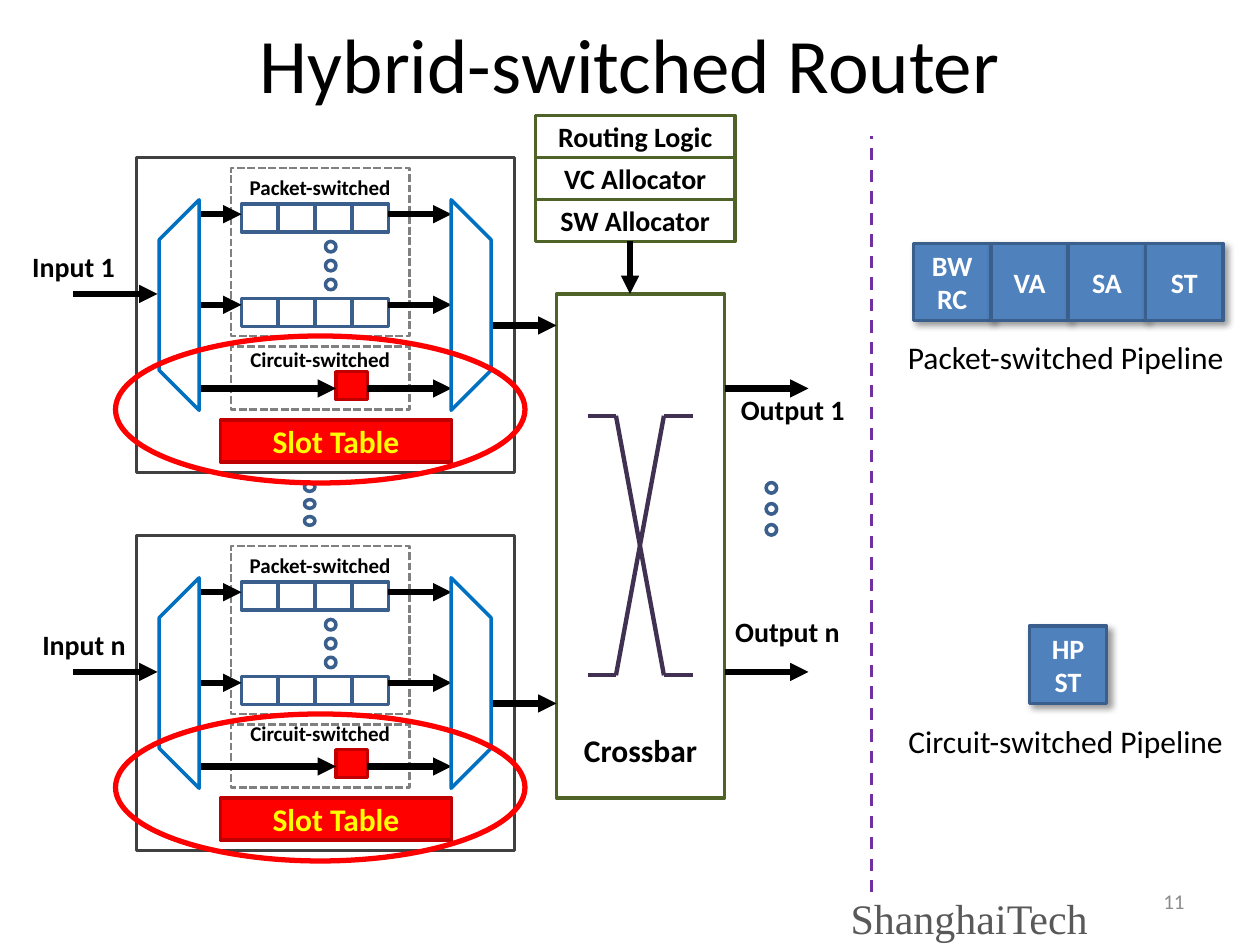
from lxml import etree
from pptx import Presentation
from pptx import util as u
from pptx.dml.color import RGBColor
from pptx.enum import dml, shapes, text
from pptx.oxml import ns

Pt = u.Pt
BOX, OVAL = shapes.MSO_SHAPE.RECTANGLE, shapes.MSO_SHAPE.OVAL
STRIPE = shapes.MSO_SHAPE.DIAGONAL_STRIPE
CENTER, RIGHT, LEFT = text.PP_ALIGN.CENTER, text.PP_ALIGN.RIGHT, text.PP_ALIGN.LEFT
TOP, MIDDLE = text.MSO_ANCHOR.TOP, text.MSO_ANCHOR.MIDDLE
DASH, SHORT_DASH = dml.MSO_LINE.DASH, dml.MSO_LINE.SQUARE_DOT

WHITE, BLACK, BLUE, GREEN = "FFFFFF", "000000", "3A5F8C", "4F6228"
RED, DARK_RED, PURPLE = "FF0000", "C00000", "403152"

# Content: places are (left, top, width, height)
INPUTS = [
    {"label": "Input 1", "place": (0, 139, 84, 26.6), "offset": 0, "circuit_top": 194.4},
    {"label": "Input n", "place": (12, 355, 72, 26.6), "offset": 216, "circuit_top": 408.2},
]
CONTROL = ["Routing Logic", "VC Allocator", "SW Allocator"]
OUTPUTS = [
    ("Output 1", (408, 221, 90, 26.6), 222),
    ("Output n", (408, 347.8, 84, 26.6), 384),
]
PIPELINES = [
    ("Packet-switched Pipeline", ["BW\nRC", "VA", "SA", "ST"], 522, 139, 189.4),
    ("Circuit-switched Pipeline", ["HP\nST"], 588.2, 357.8, 409),
]
STAGE = 44.2
CROSS_X, CROSS_Y = (336, 352, 379.4, 396), (237.6, 385.9)

presentation = Presentation()
presentation.slide_width, presentation.slide_height = Pt(720), Pt(540)
slide = presentation.slides.add_slide(presentation.slide_layouts[6])


def color(value):
    return RGBColor.from_string(value)


def set_line(item, line_color, width, dash=None):
    item.line.color.rgb = color(line_color)
    item.line.width = Pt(width)
    if dash:
        item.line.dash_style = dash


def write(shape, words, size, font_color=BLACK, bold=False, name="Calibri",
          align=CENTER, anchor=TOP, inset=None):
    frame = shape.text_frame
    settings = {"word_wrap": True, "vertical_anchor": anchor}
    if inset is not None:
        sides = ("left", "top", "right", "bottom")
        settings.update({f"margin_{side}": Pt(inset) for side in sides})
    for key, value in settings.items():
        setattr(frame, key, value)
    frame.text = words
    for paragraph in frame.paragraphs:
        paragraph.alignment = align
        for key, value in {"size": Pt(size), "bold": bold, "name": name}.items():
            setattr(paragraph.font, key, value)
        paragraph.font.color.rgb = color(font_color)


def add_text(words, place, size, **style):
    write(slide.shapes.add_textbox(*map(Pt, place)), words, size, **style)


def add_shape(kind, place, line_color, width=2, fill=None, dash=None):
    shape = slide.shapes.add_shape(kind, *map(Pt, place))
    shape.shadow.inherit = False
    if fill:
        shape.fill.solid()
        shape.fill.fore_color.rgb = color(fill)
    else:
        shape.fill.background()
    set_line(shape, line_color, width, dash)
    return shape


def add_line(x1, y1, x2, y2, line_color, width, dash=None):
    line = slide.shapes.add_connector(
        shapes.MSO_CONNECTOR.STRAIGHT, *map(Pt, (x1, y1, x2, y2)))
    set_line(line, line_color, width, dash)
    etree.SubElement(line.element.spPr, ns.qn("a:effectLst"))
    return line


def add_arrow(x1, y1, x2, y2):
    line = add_line(x1, y1, x2, y2, BLACK, 3.5)
    etree.SubElement(line.line._get_or_add_ln(), ns.qn("a:tailEnd"), type="triangle")


def add_dots(left, top, step, height=6):
    """Draw three small rings as a vertical ellipsis."""
    for i in range(3):
        add_shape(OVAL, (left, top + i * step, 6, height), BLUE)


def add_drop_shadow(shape):
    effects = shape.element.spPr.find(ns.qn("a:effectLst"))
    shadow = etree.SubElement(
        effects, ns.qn("a:outerShdw"), blurRad=str(Pt(4)), dist=str(Pt(3)),
        dir="2700000", algn="tl", rotWithShape="0")
    tint = etree.SubElement(shadow, ns.qn("a:srgbClr"), val=BLACK)
    etree.SubElement(tint, ns.qn("a:alpha"), val="40000")


def add_input_unit(label, place, offset, circuit_top):
    add_shape(BOX, (78, 90 + offset, 216, 180), "404040", 1.5)
    add_shape(BOX, (132, 96 + offset, 102, 96), "808080", 1.5, dash=SHORT_DASH)
    add_text("Packet-switched", (126, 96.4 + offset, 114, 21.8), 12, bold=True)
    for buffer_top, arrow_y in ((116.6, 122.4), (170.6, 174.2)):
        for i in range(4):
            add_shape(BOX, (138 + 21 * i, buffer_top + offset, 21, 16), BLUE, fill=WHITE)
        add_arrow(114, arrow_y + offset, 138, arrow_y + offset)
        add_arrow(222, arrow_y + offset, 258, arrow_y + offset)
    add_dots(186, 138 + offset, 10.8)

    add_shape(BOX, (192, 212.4 + offset, 18, 16), DARK_RED, fill=RED)
    add_text("Circuit-switched", (126, circuit_top, 114, 21.8), 12, bold=True)
    add_shape(BOX, (132, 198 + offset, 102, 36), "808080", 1.5, dash=SHORT_DASH)
    add_arrow(114, 222 + offset, 192, 222 + offset)
    add_arrow(210, 222 + offset, 258, 222 + offset)
    slot_table = add_shape(BOX, (126, 240 + offset, 132, 24), DARK_RED, fill=RED)
    write(slot_table, "Slot Table", 18, font_color="FFFF00", bold=True, anchor=MIDDLE)

    for left, rotation in ((71.3, 315), (215.3, 135)):
        mux = add_shape(STRIPE, (left, 131.8 + offset, 85, 85), "0070C0", fill=WHITE)
        mux.adjustments[0] = 0.62
        mux.rotation = rotation
    add_text(label, place, 16, bold=True)
    add_arrow(42, 168 + offset, 90, 168 + offset)
    add_arrow(282, 186 + offset, 318, 186 + offset)


def add_crossbar():
    add_shape(BOX, (318, 168, 96, 288), GREEN, fill=WHITE)
    x1, x2, x3, x4 = CROSS_X
    top, bottom = CROSS_Y
    for start, end in ((top, bottom), (bottom, top)):
        corners = [(x1, start), (x2, start), (x3, end), (x4, end)]
        for begin, finish in zip(corners, corners[1:]):
            add_line(*begin, *finish, PURPLE, 2.5)
    add_text("Crossbar", (318, 414, 96, 28.8), 18, bold=True)
    for i, words in enumerate(CONTROL):
        block = add_shape(BOX, (306, 66 + 24 * i, 114, 24), GREEN, fill=WHITE)
        write(block, words, 16, bold=True, anchor=MIDDLE, inset=0)
    add_arrow(360, 138, 360, 168)
    for label, place, y in OUTPUTS:
        add_text(label, place, 16, bold=True)
        add_arrow(414, y, 462, y)
    add_dots(437.8, 275.8, 12)


def add_pipeline(caption, stages, left, top, caption_top):
    for i, words in enumerate(stages):
        stage = add_shape(BOX, (left + STAGE * i, top, STAGE, STAGE), BLUE, fill="4F81BD")
        add_drop_shadow(stage)
        write(stage, words, 16, font_color=WHITE, bold=True, anchor=MIDDLE)
    add_text(caption, (510, caption_top, 198, 28.8), 18)


add_text("Hybrid-switched Router", (12, 12, 696, 48), 44, anchor=MIDDLE)
add_crossbar()
for unit in INPUTS:
    add_input_unit(**unit)
add_dots(174, 275.8, 9.7, height=5)
for unit in INPUTS:
    add_shape(OVAL, (66, 192 + unit["offset"], 234, 84), RED, 3)
add_line(498, 510, 498, 78, "7030A0", 1.75, DASH)
for pipeline in PIPELINES:
    add_pipeline(*pipeline)
add_text("11", (516, 500.4, 168, 28.8), 12, font_color="8C8C8C", align=RIGHT, anchor=MIDDLE)
add_text("ShanghaiTech", (486, 510, 162, 30), 24, font_color="595959",
         name="Times New Roman", align=LEFT, inset=0)

presentation.save("out.pptx")
